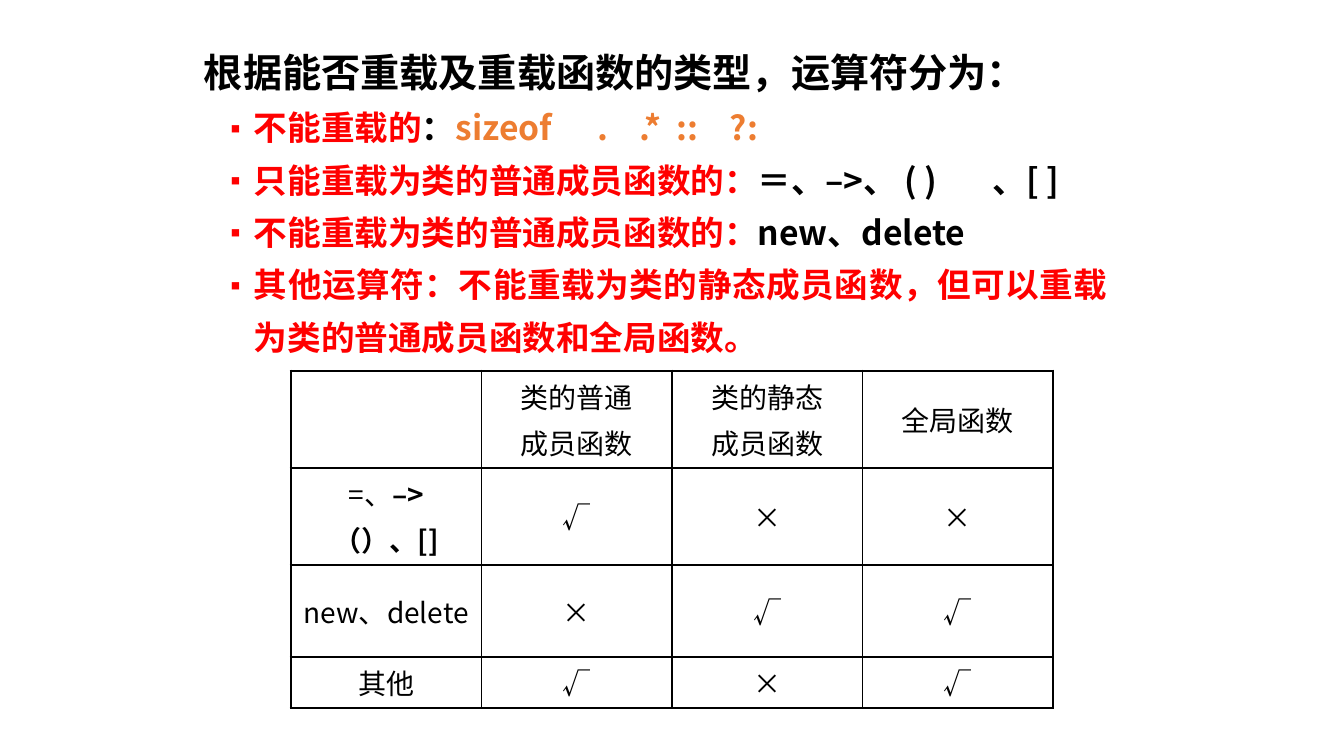
import pptx
import pptx.util
import pptx.dml.color
import pptx.enum.lang
import pptx.enum.text
import pptx.oxml
import pptx.oxml.ns

PX = 914400 / 100.8
FONT = "Noto Sans CJK JP"
BLACK = pptx.dml.color.RGBColor(0x00, 0x00, 0x00)
RED = pptx.dml.color.RGBColor(0xFF, 0x00, 0x00)
ORANGE = pptx.dml.color.RGBColor(0xED, 0x7D, 0x31)
WHITE = pptx.dml.color.RGBColor(0xFF, 0xFF, 0xFF)

# Content
HEADING = "根据能否重载及重载函数的类型，运算符分为："
# Each bullet: runs of (text, colour), then tab stops in px from the text edge
BULLETS = [
    ([("不能重载的", RED), ("：", BLACK), ("sizeof\t.\t.*\t::\t?:", ORANGE)],
     [394, 436, 473, 526]),
    ([("只能重载为类的普通成员函数的：", RED), ("＝、–>、 ( )\t、[ ]", BLACK)], [789]),
    ([("不能重载为类的普通成员函数的：", RED), ("new、delete", BLACK)], []),
    ([("其他运算符：不能重载为类的静态成员函数，"
       "但可以重载为类的普通成员函数和全局函数。", RED)], []),
]
# Each cell is a list of paragraphs, each paragraph a list of (text, bold)
YES = [[("√", False)]]
NO = [[("×", False)]]
TABLE_ROWS = [
    [[],
     [[("类的普通", False)], [("成员函数", False)]],
     [[("类的静态", False)], [("成员函数", False)]],
     [[("全局函数", False)]]],
    [[[("=、", False), ("–>", True)], [("（）、[]", True)]], YES, NO, NO],
    [[[("new、delete", False)]], NO, YES, YES],
    [[[("其他", False)]], YES, NO, YES],
]

# Layout in px
SLIDE_SIZE = (1344, 756)
TEXT_BOX = (194, 29, 924, 619)
BULLET_INDENT, BULLET_HANG = 50, 31
LINE_SPACING = 1.3
TABLE_LEFT, TABLE_TOP, TABLE_WIDTH = 291, 371, 762
ROW_HEIGHTS = [97, 97, 92, 51]
OUTER_LINE, INNER_LINE = 2.25, 1


def px(length):
    return pptx.util.Emu(round(length * PX))


def add_run(paragraph, text, size, color, bold):
    run = paragraph.add_run()
    run.text = text
    run.font.size = pptx.util.Pt(size)
    run.font.bold = bold
    run.font.name = FONT
    run.font.color.rgb = color
    run.font.language_id = pptx.enum.lang.MSO_LANGUAGE_ID.SIMPLIFIED_CHINESE
    east_asian = pptx.oxml.parse_xml(
        f'<a:ea {pptx.oxml.ns.nsdecls("a")} typeface="{FONT}"/>')
    run.font._element.find(pptx.oxml.ns.qn("a:latin")).addnext(east_asian)


def format_bullet(paragraph, tab_stops):
    properties = paragraph._p.get_or_add_pPr()
    properties.set("marL", str(px(BULLET_INDENT)))
    properties.set("indent", str(-px(BULLET_HANG)))
    namespace = pptx.oxml.ns.nsdecls("a")
    tabs = "".join(f'<a:tab pos="{px(stop)}" algn="l"/>' for stop in tab_stops)
    for xml in (f'<a:buSzPct {namespace} val="80000"/>',
                f'<a:buFont {namespace} typeface="{FONT}"/>',
                f'<a:buChar {namespace} char="▪"/>',
                f'<a:tabLst {namespace}>{tabs}</a:tabLst>'):
        properties.append(pptx.oxml.parse_xml(xml))


def set_borders(cell, widths):
    properties = cell._tc.get_or_add_tcPr()
    for position, (side, width) in enumerate(widths.items()):
        properties.insert(position, pptx.oxml.parse_xml(
            f'<a:{side} {pptx.oxml.ns.nsdecls("a")} w="{pptx.util.Pt(width)}">'
            f'<a:solidFill><a:srgbClr val="{BLACK}"/></a:solidFill></a:{side}>'))


presentation = pptx.Presentation()
presentation.slide_width, presentation.slide_height = map(px, SLIDE_SIZE)
slide = presentation.slides.add_slide(presentation.slide_layouts[6])

# Heading and bullets
text_frame = slide.shapes.add_textbox(*map(px, TEXT_BOX)).text_frame
text_frame.word_wrap = True
paragraph = text_frame.paragraphs[0]
paragraph.line_spacing = LINE_SPACING
add_run(paragraph, HEADING, 28, BLACK, True)
for runs, tab_stops in BULLETS:
    paragraph = text_frame.add_paragraph()
    paragraph.level = 1
    paragraph.alignment = pptx.enum.text.PP_ALIGN.JUSTIFY
    paragraph.line_spacing = LINE_SPACING
    format_bullet(paragraph, tab_stops)
    for text, color in runs:
        add_run(paragraph, text, 24, color, True)

# Table of operators and function kinds
row_count, column_count = len(TABLE_ROWS), len(TABLE_ROWS[0])
table = slide.shapes.add_table(
    row_count, column_count, px(TABLE_LEFT), px(TABLE_TOP),
    px(TABLE_WIDTH), px(sum(ROW_HEIGHTS))).table
table.first_row = table.horz_banding = False
for column in table.columns:
    column.width = px(TABLE_WIDTH / column_count)
for row_index, row in enumerate(TABLE_ROWS):
    table.rows[row_index].height = px(ROW_HEIGHTS[row_index])
    for column_index, paragraphs in enumerate(row):
        cell = table.cell(row_index, column_index)
        cell.fill.solid()
        cell.fill.fore_color.rgb = WHITE
        cell.vertical_anchor = pptx.enum.text.MSO_ANCHOR.MIDDLE
        outer_sides = {"lnL": column_index == 0,
                       "lnR": column_index == column_count - 1,
                       "lnT": row_index == 0,
                       "lnB": row_index == row_count - 1}
        set_borders(cell, {side: OUTER_LINE if outer else INNER_LINE
                           for side, outer in outer_sides.items()})
        for index, runs in enumerate(paragraphs):
            paragraph = (cell.text_frame.add_paragraph() if index
                         else cell.text_frame.paragraphs[0])
            paragraph.alignment = pptx.enum.text.PP_ALIGN.CENTER
            paragraph.space_before = pptx.util.Pt(4)
            for text, bold in runs:
                add_run(paragraph, text, 20, BLACK, bold)

presentation.save("out.pptx")
